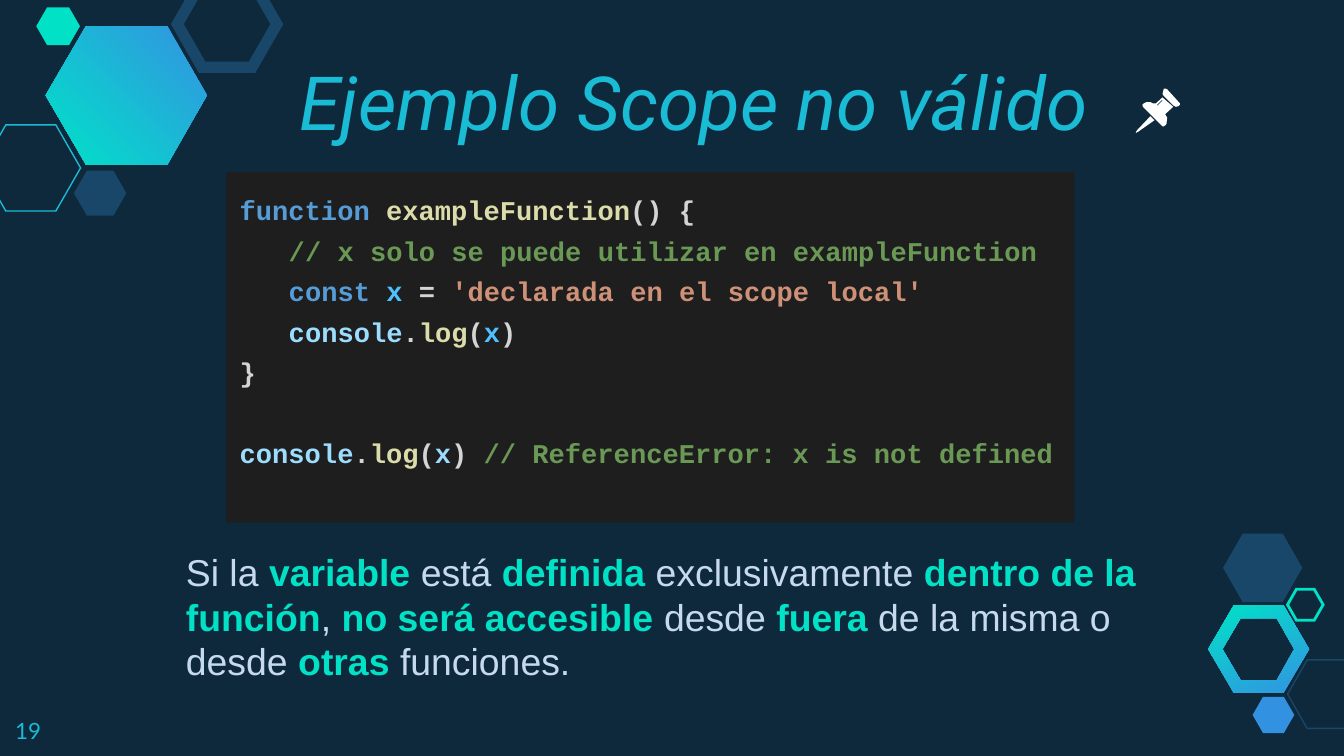
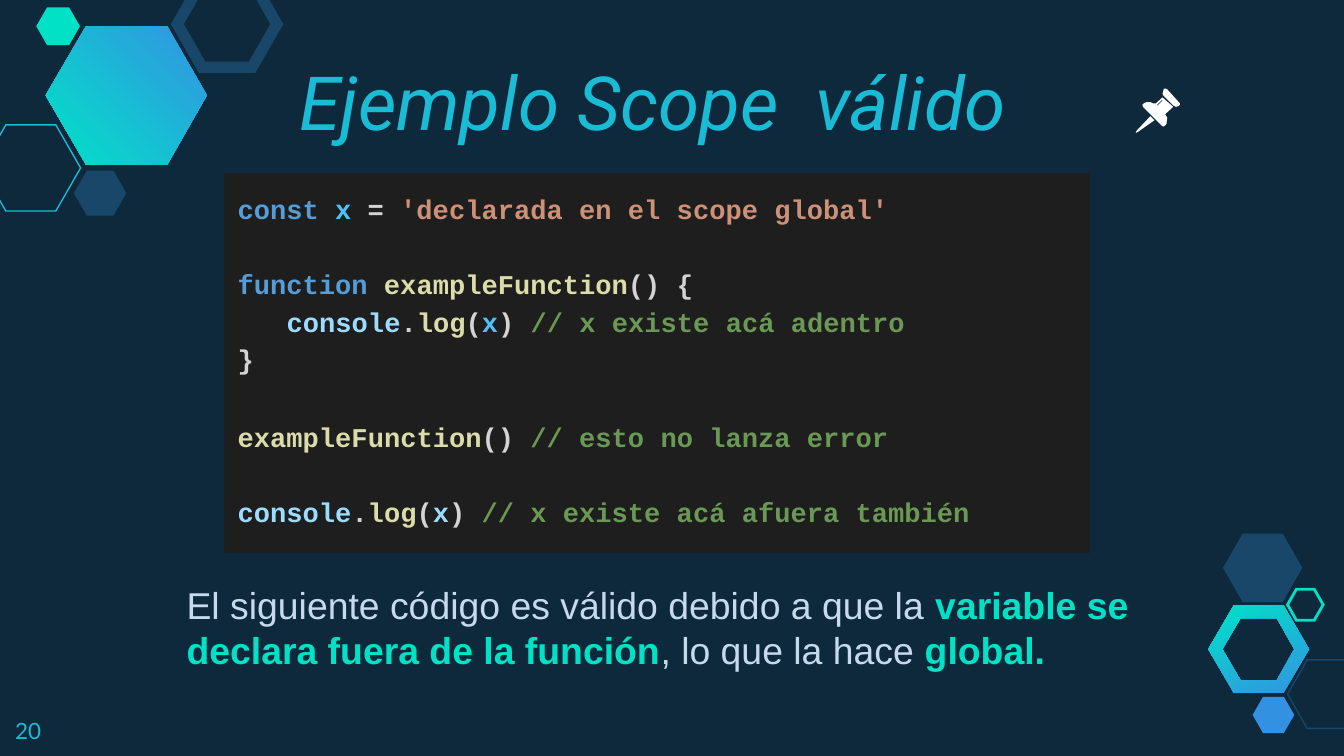
from typing import NamedTuple, Optional

from lxml.etree import SubElement
from pptx import Presentation
from pptx.dml.color import RGBColor
from pptx.enum.shapes import MSO_SHAPE as SHAPE
from pptx.enum.text import MSO_ANCHOR as ANCHOR, MSO_AUTO_SIZE as AUTO, PP_ALIGN as ALIGN
from pptx.oxml.ns import qn
from pptx.util import Emu, Pt

PX = 4572
INSET = 20
CODE_SIZE = 14.5
CODE_LINE = 1.19
CODE_INDENT = 73

COLORS = {
    "bg": "0E293C", "title": "19BBD5", "text": "C6DAEC", "accent": "00E1C6",
    "navy": "184769", "blue": "3292E1", "grad_from": "3393E2", "grad_to": "00E2C7",
    "white": "FFFFFF", "panel": "1E1E1E", "keyword": "569CD6", "plain": "D4D4D4",
    "function": "DCDCAA", "comment": "6A9955", "constant": "4FC1FF",
    "string": "CE9178", "variable": "9CDCFE",
}

Point = tuple[int, int]


class Box(NamedTuple):
    x: int
    y: int
    w: int
    h: int

    def emu(self) -> list[Emu]:
        return [Emu(v * PX) for v in self]


class Hexagon(NamedTuple):
    box: Box
    color: str
    line: Optional[float] = None


class Outline(NamedTuple):
    contours: list[list[Point]]
    angle: int = 0


class Token(NamedTuple):
    text: str
    color: str = "plain"


class Line(NamedTuple):
    tokens: list[Token]
    indent: int = 0
    gap: float = 0


class Example(NamedTuple):
    number: int
    title: str
    panel: Box
    spacing: float
    code: list[Line]
    note: Box
    note_text: str


HEXAGONS = [
    Hexagon(Box(-28, 186, 148, 128), "title", 0.75),
    Hexagon(Box(110, 254, 78, 67), "navy"),
    Hexagon(Box(264, -28, 148, 128), "navy", 6),
    Hexagon(Box(54, 11, 65, 56), "accent"),
    Hexagon(Box(1916, 982, 118, 102), "navy", 0.75),
    Hexagon(Box(1864, 1037, 62, 54), "blue"),
    Hexagon(Box(1820, 794, 118, 102), "navy"),
    Hexagon(Box(1916, 877, 53, 46), "accent", 1.5),
]

GRADIENT_HEXAGONS = [
    Outline([
        [(1836, 1031), (1798, 966), (1836, 901), (1910, 901), (1948, 966), (1910, 1031)],
        [(1846, 1012), (1900, 1012), (1926, 966), (1900, 920), (1846, 920), (1819, 966)],
    ], 116),
    Outline([[(308, 142), (249, 245), (128, 245), (68, 142), (128, 39), (249, 39)]], 225),
]

PIN = [
    Outline([[(1712, 173), (1692, 194), (1690, 198), (1694, 196), (1718, 179)]]),
    Outline([[(1735, 132), (1732, 132), (1731, 136), (1730, 140), (1732, 143),
              (1746, 157), (1750, 159), (1754, 158), (1756, 156), (1756, 154),
              (1737, 133)]]),
    Outline([
        [(1730, 148), (1730, 150), (1722, 158), (1722, 156)],
        [(1730, 145), (1720, 154), (1716, 154), (1712, 152), (1706, 152), (1702, 154),
         (1700, 156), (1701, 159), (1730, 188), (1732, 188), (1735, 186), (1736, 184),
         (1737, 175), (1734, 170), (1746, 159)],
    ]),
]

TITLE_BOX = Box(426, 94, 1236, 142)
NUMBER_BOX = Box(3, 1047, 120, 78)


def log_call(argument_color: str) -> list[Token]:
    return [Token("console", "variable"), Token("."), Token("log", "function"),
            Token("("), Token("x", argument_color)]


def declaration(value: str) -> list[Token]:
    return [Token("const", "keyword"), Token(" "), Token("x", "constant"),
            Token(" = "), Token(value, "string")]


FUNCTION_HEAD = [Token("function", "keyword"), Token(" "),
                 Token("exampleFunction", "function"), Token("() {")]
FUNCTION_END = [Token("}")]

EXAMPLES = [
    Example(
        19, "Ejemplo Scope no válido", Box(337, 256, 1262, 522), 1.25,
        [
            Line(FUNCTION_HEAD),
            Line([Token("// x solo se puede utilizar en exampleFunction", "comment")], 1),
            Line(declaration("'declarada en el scope local'"), 1),
            Line([*log_call("constant"), Token(")")], 1),
            Line(FUNCTION_END),
            Line([*log_call("variable"), Token(") "),
                  Token("// ReferenceError: x is not defined", "comment")], gap=14.5),
        ],
        Box(257, 797, 1486, 288),
        "Si la *variable* está *definida* exclusivamente *dentro de la función*, "
        "*no será accesible *desde *fuera* de la misma o desde *otras* funciones.",
    ),
    Example(
        20, "Ejemplo Scope  válido", Box(334, 258, 1288, 565), 1.16,
        [
            Line(declaration("'declarada en el scope global'")),
            Line(FUNCTION_HEAD, gap=14.6),
            Line([*log_call("constant"), Token(") "),
                  Token("// x existe acá adentro", "comment")], 1),
            Line(FUNCTION_END),
            Line([Token("exampleFunction", "function"), Token("() "),
                  Token("// esto no lanza error", "comment")], gap=15.5),
            Line([*log_call("variable"), Token(") "),
                  Token("// x existe acá afuera también", "comment")], gap=14.6),
        ],
        Box(258, 847, 1486, 172),
        "El siguiente código es válido debido a que la *variable se declara fuera "
        "de la función*, lo que la hace *global.*",
    ),
]


def rgb(name: str) -> RGBColor:
    return RGBColor.from_string(COLORS[name])


def style(r, font: str, size: float, color: str, bold=False, italic=False) -> None:
    f = r.font
    f.name, f.size, f.bold, f.italic = font, Pt(size), bold, italic
    f.color.rgb = rgb(color)


def add_run(p, text: str, font: str, size: float, color: str, bold=False) -> None:
    r = p.add_run()
    r.text = text
    style(r, font, size, color, bold)


def set_frame(tf, anchor=ANCHOR.TOP) -> None:
    tf.word_wrap = True
    tf.auto_size = AUTO.NONE
    tf.vertical_anchor = anchor
    tf.margin_left = tf.margin_right = tf.margin_top = tf.margin_bottom = Emu(INSET * PX)


def fill_solid(sp, color: str) -> None:
    sp.shadow.inherit = False
    sp.fill.solid()
    sp.fill.fore_color.rgb = rgb(color)
    sp.line.fill.background()


def add_hexagon(shapes, hexagon: Hexagon):
    sp = shapes.add_shape(SHAPE.HEXAGON, *hexagon.box.emu())
    sp.adjustments[0] = 0.287
    sp.adjustments[1] = 1.155
    fill_solid(sp, hexagon.color)
    if hexagon.line is not None:
        sp.fill.background()
        sp.line.color.rgb = rgb(hexagon.color)
        sp.line.width = Pt(hexagon.line)
        ln = sp.element.spPr.find(qn("a:ln"))
        SubElement(ln, qn("a:miter")).set("lim", "800000")
    return sp


def add_outline(shapes, outline: Outline):
    first, *others = outline.contours
    fb = shapes.build_freeform(*first[0], scale=PX)
    fb.add_line_segments(first[1:], close=True)
    for contour in others:
        fb.move_to(*contour[0])
        fb.add_line_segments(contour[1:], close=True)
    sp = fb.convert_to_shape()
    fill_solid(sp, "white")
    return sp


def add_gradient_hexagon(shapes, outline: Outline):
    sp = add_outline(shapes, outline)
    sp.fill.gradient()
    sp.fill.gradient_angle = outline.angle
    for stop, color in zip(sp.fill.gradient_stops, ("grad_from", "grad_to")):
        stop.color.rgb = rgb(color)
    return sp


def decorate_layout(layout, slide) -> None:
    layout.background.fill.solid()
    layout.background.fill.fore_color.rgb = rgb("bg")
    decor = [add_gradient_hexagon(slide.shapes, o) for o in GRADIENT_HEXAGONS]
    decor += [add_hexagon(slide.shapes, h) for h in HEXAGONS]
    for sp in decor:
        layout.shapes.element.append(sp.element)


def set_title(slide, text: str) -> None:
    sp = slide.shapes.title
    sp.left, sp.top, sp.width, sp.height = TITLE_BOX.emu()
    tf = sp.text_frame
    tf.text = text
    set_frame(tf, ANCHOR.BOTTOM)
    p = tf.paragraphs[0]
    p.alignment = ALIGN.LEFT
    style(p.runs[0], "Roboto", 40, "title", italic=True)


def add_number(slide, number: int) -> None:
    tf = slide.shapes.add_textbox(*NUMBER_BOX.emu()).text_frame
    tf.text = str(number)
    set_frame(tf)
    style(tf.paragraphs[0].runs[0], "Lato", 12, "title")


def add_pin(slide) -> None:
    group = slide.shapes.add_group_shape()
    for outline in PIN:
        add_outline(group.shapes, outline)


def add_code(slide, example: Example) -> None:
    sp = slide.shapes.add_shape(SHAPE.RECTANGLE, *example.panel.emu())
    fill_solid(sp, "panel")
    tf = sp.text_frame
    set_frame(tf)
    for i, line in enumerate(example.code):
        p = tf.add_paragraph() if i else tf.paragraphs[0]
        p.alignment = ALIGN.LEFT
        p.line_spacing = example.spacing
        if line.gap:
            p.space_before = Pt(round(line.gap * CODE_LINE * example.spacing, 1))
        if line.indent:
            pPr = p._p.get_or_add_pPr()
            pPr.set("marL", str(line.indent * CODE_INDENT * PX))
            pPr.set("indent", "0")
        for token in line.tokens:
            add_run(p, token.text, "Courier New", CODE_SIZE, token.color, True)


def add_note(slide, example: Example) -> None:
    tf = slide.shapes.add_textbox(*example.note.emu()).text_frame
    set_frame(tf)
    for i, part in enumerate(example.note_text.split("*")):
        if part:
            strong = i % 2 == 1
            add_run(tf.paragraphs[0], part, "Arial", 20,
                    "accent" if strong else "text", strong)


def main() -> None:
    prs = Presentation()
    prs.slide_width, prs.slide_height = Emu(2000 * PX), Emu(1125 * PX)
    layout = prs.slide_layouts[5]
    for i, example in enumerate(EXAMPLES):
        slide = prs.slides.add_slide(layout)
        if i == 0:
            decorate_layout(layout, slide)
        set_title(slide, example.title)
        add_number(slide, example.number)
        add_pin(slide)
        add_code(slide, example)
        add_note(slide, example)
    prs.save("out.pptx")


if __name__ == "__main__":
    main()
